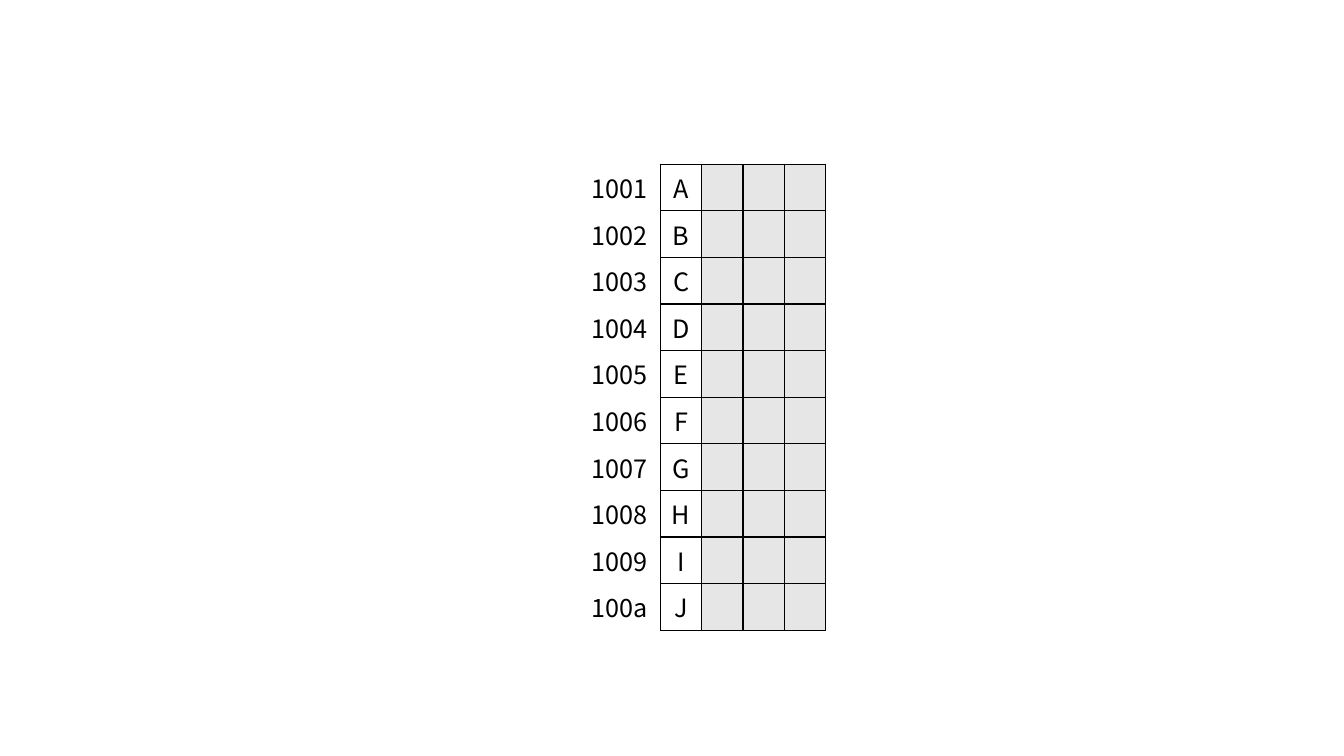
from dataclasses import dataclass

from lxml import etree
from pptx import Presentation
from pptx import util as u
from pptx.dml import color
from pptx.enum import text
from pptx.oxml import ns
from pptx.table import Table, _Cell

FONT = "Noto Sans CJK SC"
BLACK, WHITE, GREY = "000000", "FFFFFF", "E7E6E6"
SIDES = ("L", "R", "T", "B")


@dataclass(frozen=True)
class Grid:
    left: float
    top: float
    label_width: float
    column_width: float
    row_height: float
    columns: int

    @property
    def widths(self) -> list[float]:
        return [self.label_width] + [self.column_width] * self.columns


@dataclass(frozen=True)
class MemoryRow:
    address: str
    letter: str


MEMORY_GRID = Grid(left=5.77, top=1.63, label_width=0.78,
                   column_width=0.41, row_height=0.41, columns=4)
MEMORY_ROWS = [MemoryRow(f"{0x1001 + index:x}", letter)
               for index, letter in enumerate("ABCDEFGHIJ")]


def rgb(value: str) -> color.RGBColor:
    return color.RGBColor.from_string(value)


def set_borders(cell: _Cell, visible: str) -> None:
    properties = cell._tc.get_or_add_tcPr()
    for position, side in enumerate(SIDES):
        line = etree.Element(ns.qn(f"a:ln{side}"), w=str(u.Pt(1)))
        if side in visible:
            fill = etree.SubElement(line, ns.qn("a:solidFill"))
            etree.SubElement(fill, ns.qn("a:srgbClr"), val=BLACK)
        else:
            etree.SubElement(line, ns.qn("a:noFill"))
        properties.insert(position, line)


def write_cell(cell: _Cell, words: str, *, fill: str = WHITE,
               align: text.PP_ALIGN = text.PP_ALIGN.CENTER,
               borders: str = "LRTB") -> None:
    cell.fill.solid()
    cell.fill.fore_color.rgb = rgb(fill)
    set_borders(cell, borders)
    paragraph = cell.text_frame.paragraphs[0]
    paragraph.alignment = align
    paragraph.font.size = u.Pt(18)
    if words:
        run = paragraph.add_run()
        run.text = words
        run.font.name = FONT
        run.font.size = u.Pt(18)
        run.font.color.rgb = rgb(BLACK)


def add_grid_table(slide, grid: Grid, row_count: int) -> Table:
    frame = slide.shapes.add_table(
        row_count, len(grid.widths), u.Inches(grid.left), u.Inches(grid.top),
        u.Inches(sum(grid.widths)), u.Inches(grid.row_height * row_count))
    table = frame.table
    table.first_row = False
    table.horz_banding = False
    for column, width in zip(table.columns, grid.widths):
        column.width = u.Inches(width)
    for row in table.rows:
        row.height = u.Inches(grid.row_height)
    return table


def add_memory_table(slide) -> None:
    table = add_grid_table(slide, MEMORY_GRID, len(MEMORY_ROWS))
    for index, memory in enumerate(MEMORY_ROWS):
        write_cell(table.cell(index, 0), memory.address,
                   align=text.PP_ALIGN.LEFT, borders="R")
        write_cell(table.cell(index, 1), memory.letter)
        for column in range(2, len(MEMORY_GRID.widths)):
            write_cell(table.cell(index, column), "", fill=GREY)


def main() -> None:
    presentation = Presentation()
    presentation.slide_width = u.Inches(13.33)
    presentation.slide_height = u.Inches(7.5)
    slide = presentation.slides.add_slide(presentation.slide_layouts[6])
    add_memory_table(slide)
    presentation.save("out.pptx")


if __name__ == "__main__":
    main()
